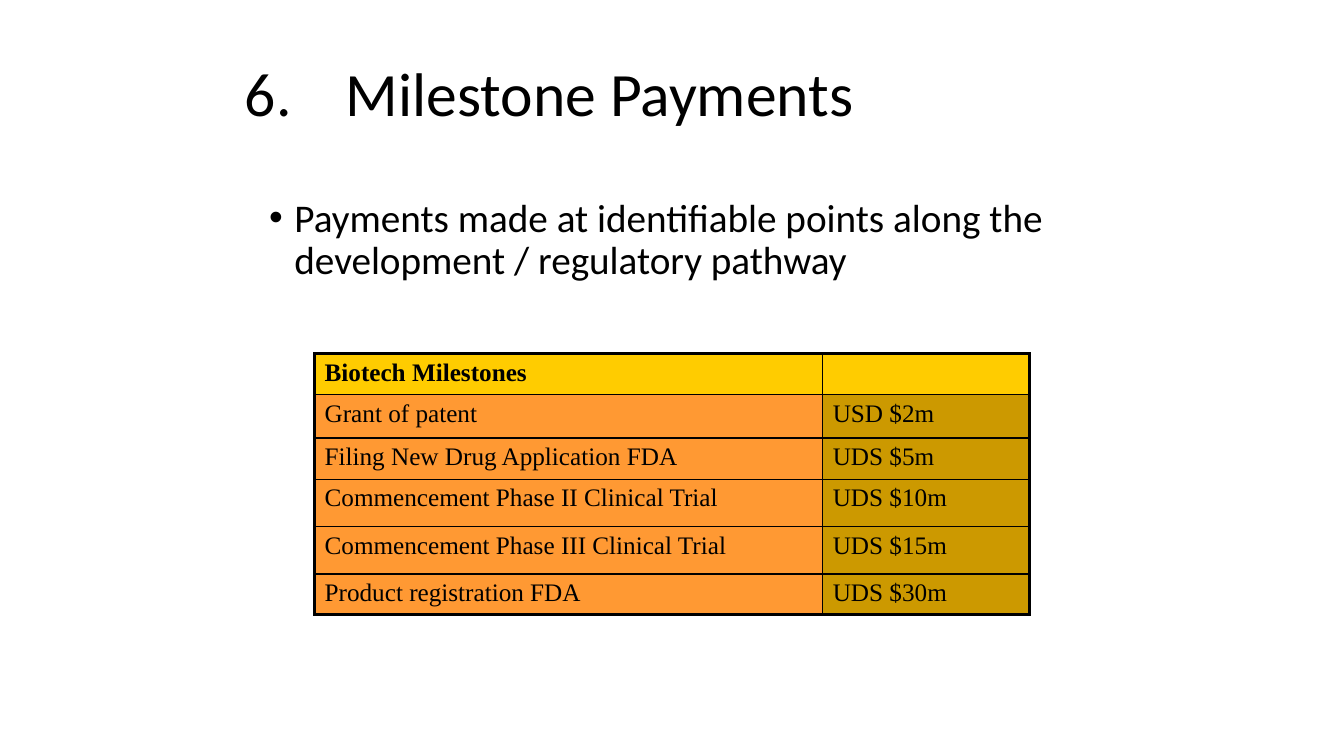
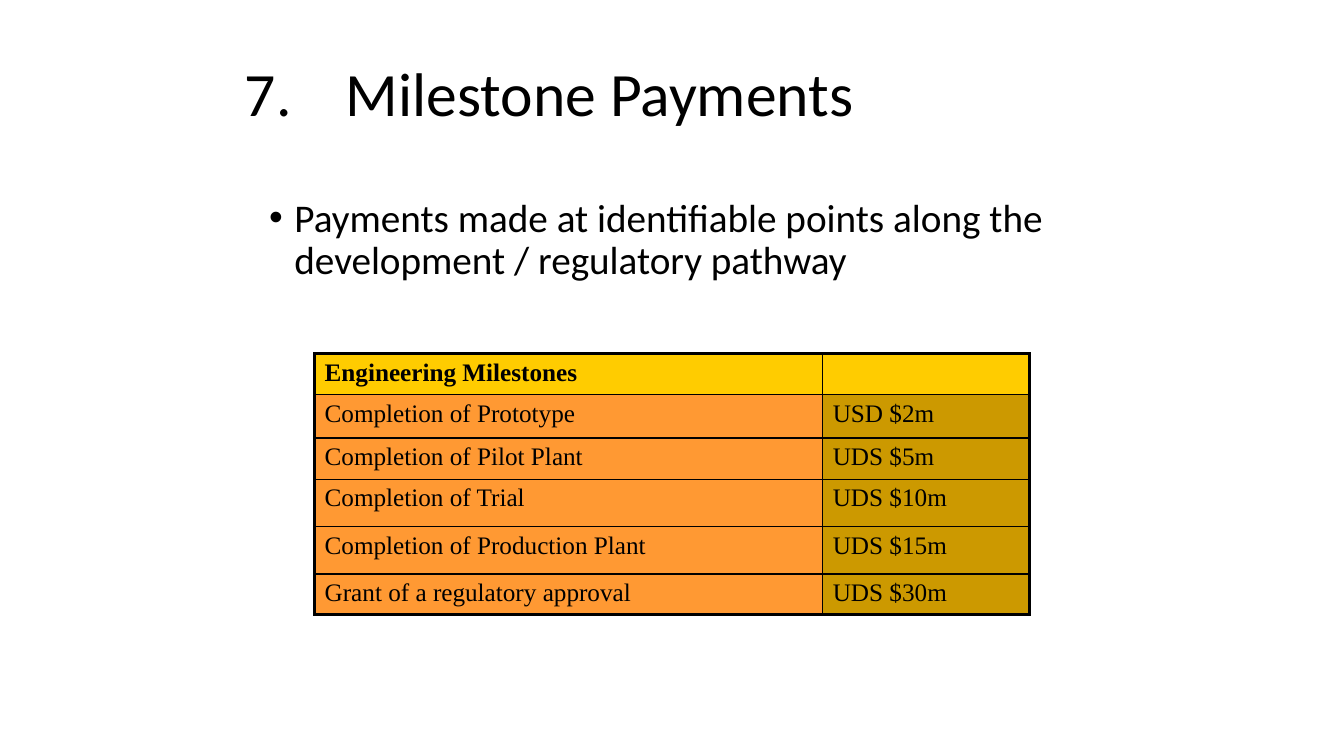
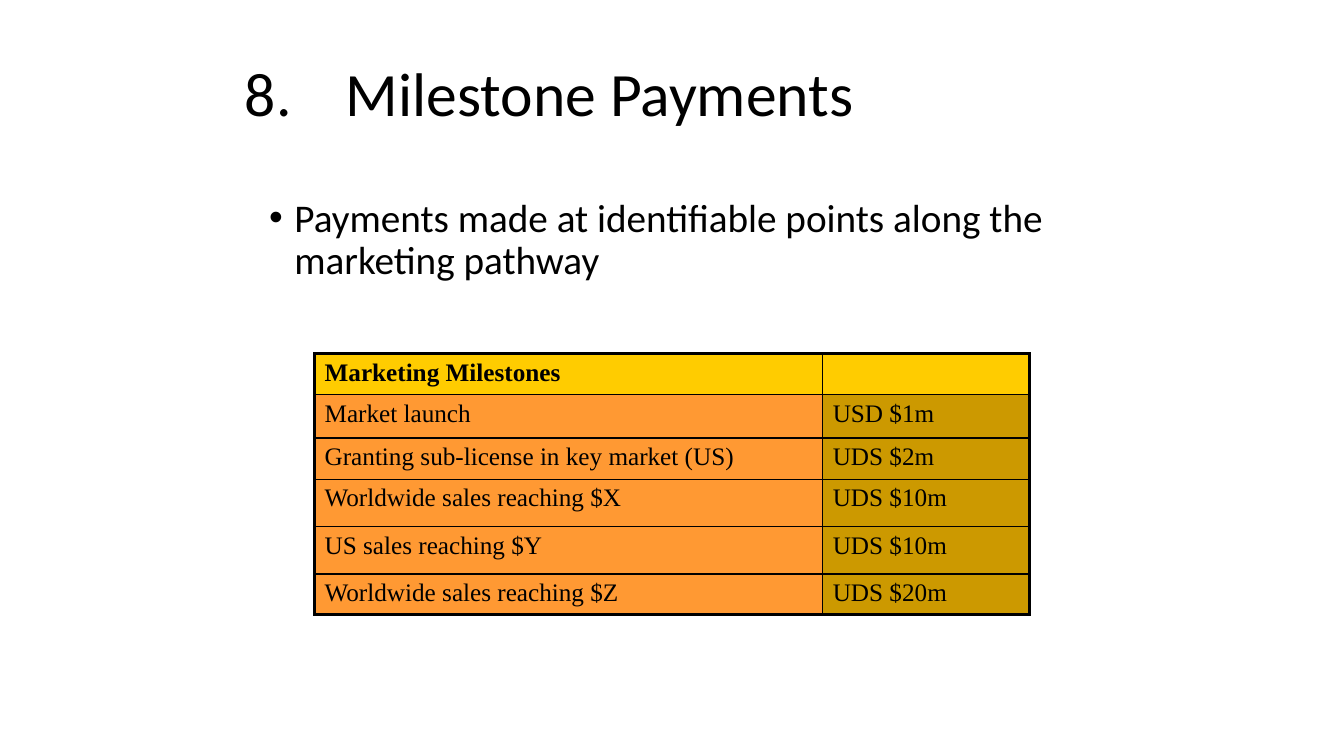
from lxml.etree import SubElement
from pptx import Presentation
from pptx.dml.color import RGBColor
from pptx.enum.text import MSO_ANCHOR, MSO_AUTO_SIZE, PP_ALIGN
from pptx.oxml.ns import qn
from pptx.util import Inches, Pt

BLACK = "000000"
HEADER_GOLD = "FFCC00"
MILESTONE_ORANGE = "FF9933"
AMOUNT_OCHRE = "CC9900"
SANS = "Calibri"
SERIF = "Times New Roman"
OUTER_RULE = 2.25
INNER_RULE = 1
COLUMN_WIDTHS = (5.04, 2.05)
ROW_HEIGHTS = (0.4, 0.43, 0.41, 0.47, 0.47, 0.4)

DEVELOPMENT = "Payments made at identifiable points along the development / regulatory pathway"
MARKETING = "Payments made at identifiable points along the marketing pathway"

MILESTONE_SLIDES = (
    ("6.", DEVELOPMENT, (
        ("Biotech Milestones", ""),
        ("Grant of patent", "USD $2m"),
        ("Filing New Drug Application FDA", "UDS $5m"),
        ("Commencement Phase II Clinical Trial", "UDS $10m"),
        ("Commencement Phase III Clinical Trial", "UDS $15m"),
        ("Product registration FDA", "UDS $30m"),
    )),
    ("7.", DEVELOPMENT, (
        ("Engineering Milestones", ""),
        ("Completion of Prototype", "USD $2m"),
        ("Completion of Pilot Plant", "UDS $5m"),
        ("Completion of Trial", "UDS $10m"),
        ("Completion of Production Plant", "UDS $15m"),
        ("Grant of a regulatory approval", "UDS $30m"),
    )),
    ("8.", MARKETING, (
        ("Marketing Milestones", ""),
        ("Market launch", "USD $1m"),
        ("Granting sub-license in key market (US)", "UDS $2m"),
        ("Worldwide sales reaching $X", "UDS $10m"),
        ("US sales reaching $Y", "UDS $10m"),
        ("Worldwide sales reaching $Z", "UDS $20m"),
    )),
)


def color(hex_code):
    """Turn a hex string into a colour."""
    return RGBColor.from_string(hex_code)


def add_run(paragraph, text, size, font, bold=False):
    """Add a black run to a paragraph."""
    run = paragraph.add_run()
    run.text = text
    run.font.size = Pt(size)
    run.font.name = font
    run.font.bold = bold
    run.font.color.rgb = color(BLACK)


def place(placeholder, left, top, width, height, anchor):
    """Move a placeholder and return its first paragraph, left aligned."""
    placeholder.left, placeholder.top = Inches(left), Inches(top)
    placeholder.width, placeholder.height = Inches(width), Inches(height)
    frame = placeholder.text_frame
    frame.word_wrap = True
    frame.auto_size = MSO_AUTO_SIZE.NONE
    frame.vertical_anchor = anchor
    paragraph = frame.paragraphs[0]
    paragraph.alignment = PP_ALIGN.LEFT
    paragraph.line_spacing = 0.9
    paragraph.space_before = Pt(0)
    return paragraph


def add_title(slide, number):
    """Write the numbered title with a tab after the number."""
    heading = place(slide.shapes.title, 2.33, 0.25, 10.67, 1.42, MSO_ANCHOR.MIDDLE)
    tabs = SubElement(heading._p.get_or_add_pPr(), qn("a:tabLst"))
    SubElement(tabs, qn("a:tab"), pos=str(Inches(1)), algn="l")
    add_run(heading, f"{number}\tMilestone Payments", 44, SANS)


def add_bullet(slide, text):
    """Write the bulleted explanation in the body placeholder."""
    bullet = place(slide.placeholders[1], 2.57, 1.92, 8.27, 1.2, MSO_ANCHOR.TOP)
    properties = bullet._p.get_or_add_pPr()
    properties.set("marL", str(Inches(0.25)))
    properties.set("indent", str(-Inches(0.25)))
    SubElement(properties, qn("a:buFont"), typeface="Arial")
    SubElement(properties, qn("a:buChar"), char="•")
    add_run(bullet, text, 28, SANS)


def set_borders(cell, outer_sides):
    """Rule all four sides of a cell, heavier on the table's outer edge."""
    properties = cell._tc.get_or_add_tcPr()
    for side in "LRTB":
        weight = OUTER_RULE if side in outer_sides else INNER_RULE
        line = SubElement(properties, qn(f"a:ln{side}"), w=str(Pt(weight)))
        fill = SubElement(line, qn("a:solidFill"))
        SubElement(fill, qn("a:srgbClr"), val=BLACK)


def fill_cell(cell, text, fill, outer_sides, bold):
    """Give a table cell its borders, fill and text."""
    set_borders(cell, outer_sides)
    cell.fill.solid()
    cell.fill.fore_color.rgb = color(fill)
    if text:
        add_run(cell.text_frame.paragraphs[0], text, 18, SERIF, bold)


def add_milestones(slide, rows):
    """Add the table of milestones and their payments."""
    table = slide.shapes.add_table(
        len(rows), len(COLUMN_WIDTHS), Inches(3.12), Inches(3.51),
        Inches(sum(COLUMN_WIDTHS)), Inches(sum(ROW_HEIGHTS))).table
    table.horz_banding = False
    for column, width in zip(table.columns, COLUMN_WIDTHS):
        column.width = Inches(width)
    for row, height in zip(table.rows, ROW_HEIGHTS):
        row.height = Inches(height)
    for r, texts in enumerate(rows):
        fills = (MILESTONE_ORANGE, AMOUNT_OCHRE) if r else (HEADER_GOLD, HEADER_GOLD)
        edge = {0: "T", len(rows) - 1: "B"}.get(r, "")
        for c, (text, fill, side) in enumerate(zip(texts, fills, "LR")):
            fill_cell(table.cell(r, c), text, fill, side + edge, bold=r == 0)


def main():
    """Build and save the milestone slides."""
    deck = Presentation()
    deck.slide_width, deck.slide_height = Inches(13.33), Inches(7.5)
    for number, explanation, rows in MILESTONE_SLIDES:
        slide = deck.slides.add_slide(deck.slide_layouts[1])
        add_title(slide, number)
        add_bullet(slide, explanation)
        add_milestones(slide, rows)
    deck.save("out.pptx")


if __name__ == "__main__":
    main()
